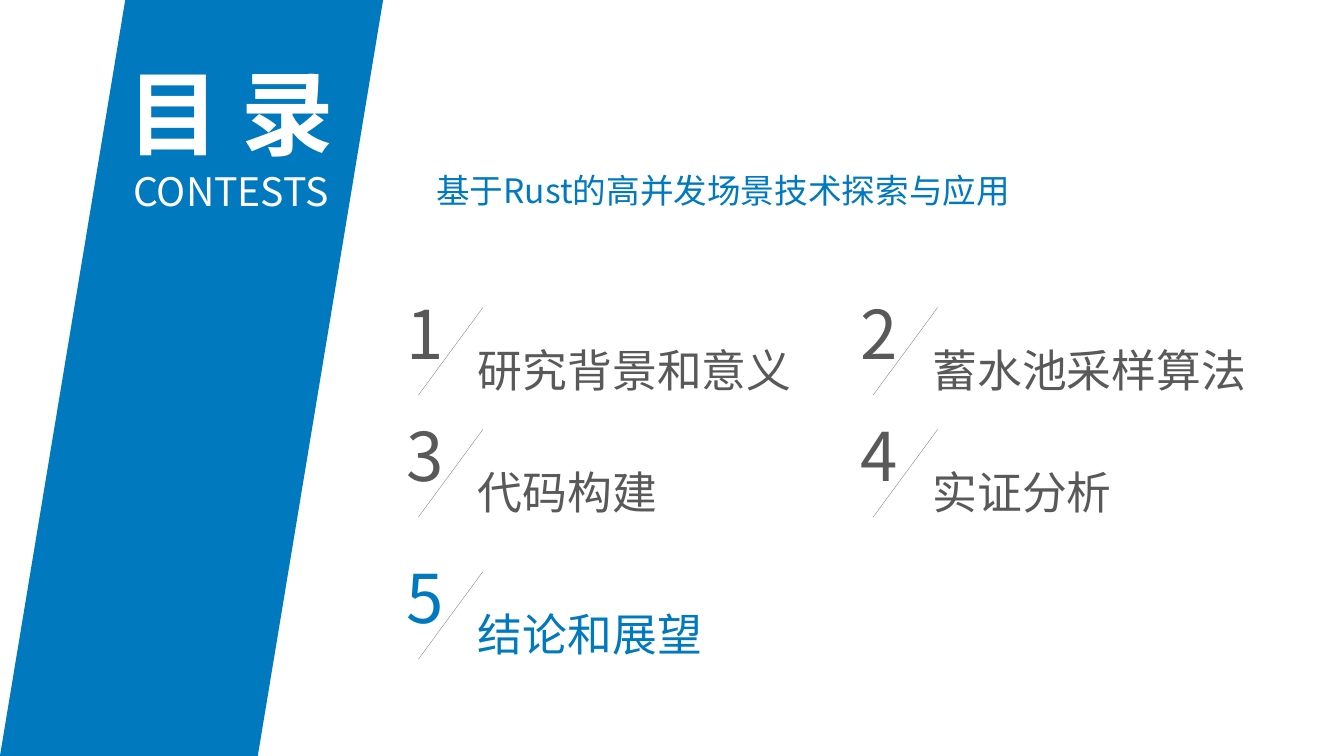
from lxml import etree
from pptx import Presentation
from pptx.dml.color import RGBColor
from pptx.enum.shapes import MSO_CONNECTOR, MSO_SHAPE
from pptx.enum.text import MSO_ANCHOR, MSO_AUTO_SIZE, PP_ALIGN
from pptx.oxml.ns import qn
from pptx.util import Emu, Pt

BLUE = RGBColor(0x00, 0x79, 0xBF)
DARK = RGBColor(0x59, 0x59, 0x59)
GRAY = RGBColor(0x80, 0x80, 0x80)
WHITE = RGBColor(0xFF, 0xFF, 0xFF)
SLANT = MSO_SHAPE.PARALLELOGRAM
LINE = MSO_CONNECTOR.STRAIGHT
MIDDLE = MSO_ANCHOR.MIDDLE
CENTER = PP_ALIGN.CENTER
FIT = MSO_AUTO_SIZE.SHAPE_TO_FIT_TEXT
FIXED = MSO_AUTO_SIZE.NONE
SCALE = 9144
COLS = [393, 844]
ROWS = [285, 406, 547]
TOPICS = ["研究背景和意义", "蓄水池采样算法", "代码构建", "实证分析", "结论和展望"]


def px(*sizes):
    return [Emu(size * SCALE) for size in sizes]


class Deck:
    face = "Noto Sans CJK SC"

    def __init__(self, wide, high):
        self.file = Presentation()
        self.file.slide_width, self.file.slide_height = px(wide, high)
        self.slide = self.file.slides.add_slide(self.file.slide_layouts[5])

    def style(self, para, size, color, bold=False):
        font = para.font
        font.name, font.size, font.bold = self.face, Pt(size), bold
        font.color.rgb = color
        base = para._p.pPr.find(qn("a:defRPr"))
        etree.SubElement(base, qn("a:ea"), typeface=self.face)

    def band(self, box, slant):
        shape = self.slide.shapes.add_shape(SLANT, *px(*box))
        shape.adjustments[0] = slant
        shape.shadow.inherit = False
        shape.fill.solid()
        shape.fill.fore_color.rgb = BLUE
        shape.line.fill.background()

    def title(self, box, lines):
        shape = self.slide.shapes.title
        shape.left, shape.top, shape.width, shape.height = px(*box)
        self.slide.shapes._spTree.append(shape._element)
        frame = shape.text_frame
        frame.text = "\n".join(text for text, size, bold in lines)
        frame.word_wrap, frame.auto_size = True, FIXED
        frame.vertical_anchor = MIDDLE
        for para, (text, size, bold) in zip(frame.paragraphs, lines):
            para.alignment = CENTER
            self.style(para, size, WHITE, bold)

    def text(self, home, box, text, size, color, wrap=True):
        frame = home.add_textbox(*px(*box)).text_frame
        frame.word_wrap, frame.auto_size = wrap, FIT
        frame.text = text
        self.style(frame.paragraphs[0], size, color)

    def slash(self, home, ends):
        line = home.add_connector(LINE, *px(*ends))
        line.line.color.rgb = GRAY
        line.line.width = Pt(0.25)
        etree.SubElement(line._element.spPr, qn("a:effectLst"))

    def topic(self, left, top, mark, text, color):
        home = self.slide.shapes.add_group_shape().shapes
        self.text(home, (left, top, 60, 91), mark, 48, color, False)
        self.slash(home, (left + 86, top + 20, left + 22, top + 107))
        self.text(home, (left + 71, top + 50, 418, 64), text, 32, color)


def main():
    deck = Deck(1333, 750)
    deck.band((0, 0, 380, 750), 0.327)
    deck.title((98, 63, 262, 143), [("目 录", 66, True), ("CONTESTS", 28, False)])
    deck.text(deck.slide.shapes, (423, 164, 660, 50),
              "基于Rust的高并发场景技术探索与应用", 24, BLUE)
    for spot, text in enumerate(TOPICS):
        row, col = divmod(spot, len(COLS))
        color = BLUE if text == TOPICS[-1] else DARK
        deck.topic(COLS[col], ROWS[row], str(spot + 1), text, color)
    deck.file.save("out.pptx")


if __name__ == "__main__":
    main()
